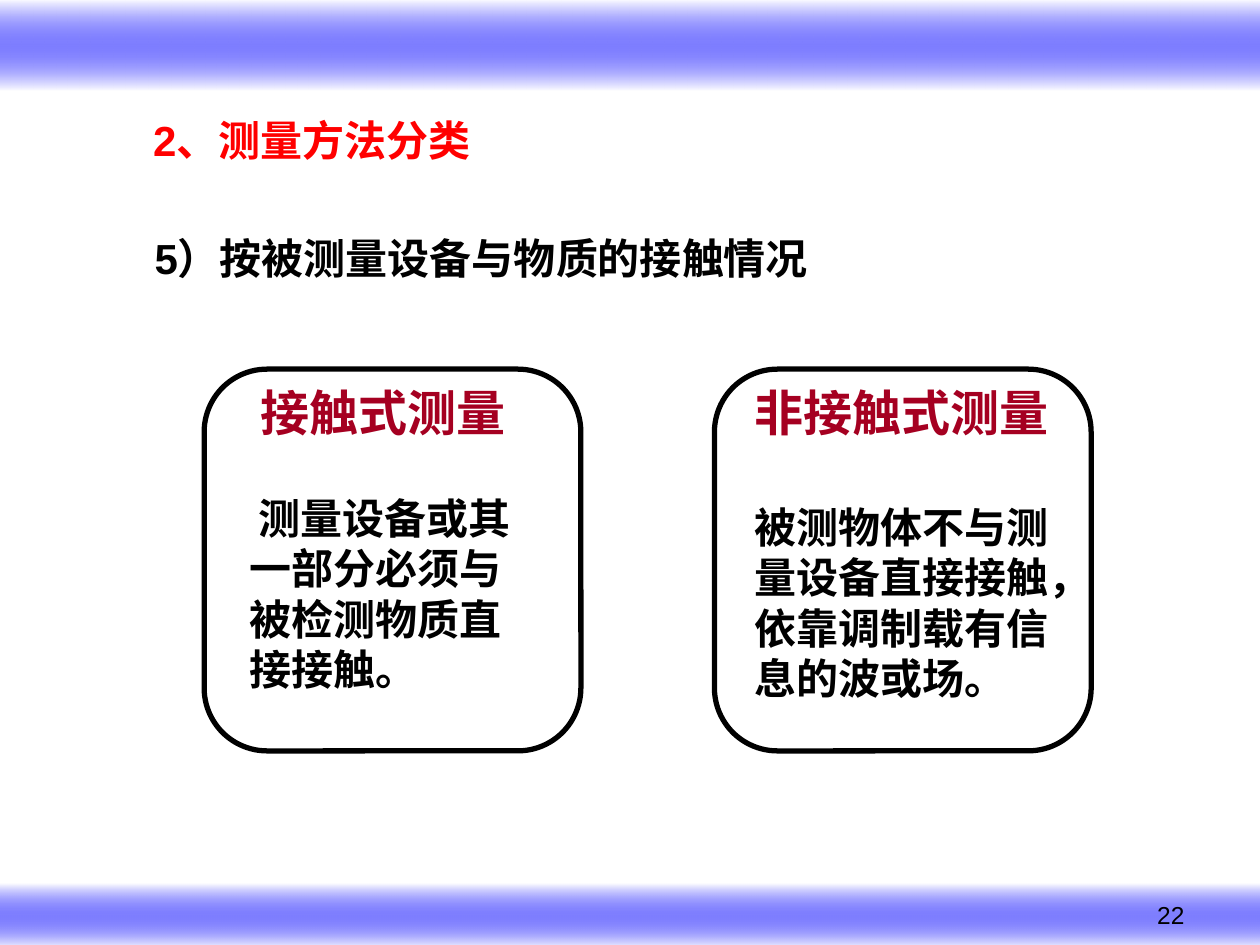
from dataclasses import dataclass

from lxml.etree import SubElement
from pptx import Presentation
from pptx.dml.color import RGBColor
from pptx.enum.shapes import MSO_SHAPE as Preset
from pptx.enum.text import MSO_ANCHOR as Anchor, MSO_AUTO_SIZE as AutoSize, PP_ALIGN as Align
from pptx.oxml.ns import qn
from pptx.util import Inches, Pt

COLUMNS, ROWS = 100, 75
WIDTH, HEIGHT = Inches(10), Inches(7.5)
BLACK, RED, CRIMSON, WHITE, BLUE = "000000", "FF0000", "A50021", "FFFFFF", "0000FF"


@dataclass
class Area:
    """A rectangle in grid columns and rows."""
    column: float
    row: float
    columns: float
    rows: float

    def lengths(self) -> tuple:
        across, down = WIDTH / COLUMNS, HEIGHT / ROWS
        return (round(self.column * across), round(self.row * down),
                round(self.columns * across), round(self.rows * down))


@dataclass
class Line:
    text: str
    size: float
    color: str = BLACK
    font: str = "Arial"
    bold: bool = True
    align: Align = Align.LEFT
    before: float = 0


@dataclass
class Card:
    frame: Area
    words: Area
    heading: str
    body: str
    gap: float


def rgb(color: str) -> RGBColor:
    return RGBColor.from_string(color)


def write(box, lines: list) -> None:
    frame = box.text_frame
    for name, value in {"word_wrap": True, "auto_size": AutoSize.NONE,
                        "vertical_anchor": Anchor.TOP}.items():
        setattr(frame, name, value)
    for index, line in enumerate(lines):
        para = frame.add_paragraph() if index else frame.paragraphs[0]
        for name, value in {"alignment": line.align, "space_before": Pt(line.before)}.items():
            setattr(para, name, value)
        span = para.add_run()
        span.text = line.text
        for name, value in {"size": Pt(line.size), "bold": line.bold, "name": line.font}.items():
            setattr(span.font, name, value)
        span.font.color.rgb = rgb(line.color)


def add_text(page, area: Area, lines: list) -> None:
    write(page.shapes.add_textbox(*area.lengths()), lines)


def add_band(page, area: Area) -> None:
    band = page.shapes.add_shape(Preset.RECTANGLE, *area.lengths())
    band.shadow.inherit = False
    band.line.fill.background()
    band.fill.gradient()
    band.fill.gradient_angle = 270  # counter-clockwise, so top to bottom
    stops = band._element.spPr.find(qn("a:gradFill")).find(qn("a:gsLst"))
    for stop in list(stops):
        stops.remove(stop)
    for position, color in ((0, WHITE), (50, BLUE), (100, WHITE)):
        stop = SubElement(stops, qn("a:gs"), pos=str(position * 1000))
        tint = SubElement(stop, qn("a:srgbClr"), val=color)
        if color == BLUE:
            SubElement(tint, qn("a:alpha"), val="50000")


def add_card(page, card: Card) -> None:
    outline = page.shapes.add_shape(Preset.ROUNDED_RECTANGLE, *card.frame.lengths())
    outline.shadow.inherit = False
    outline.adjustments[0] = 0.167
    outline.fill.background()
    outline.line.color.rgb = rgb(BLACK)
    outline.line.width = Pt(3)
    add_text(page, card.words, [
        Line(card.heading, 28, CRIMSON, "Times New Roman"),
        Line(card.body, 24, font="Times New Roman", before=card.gap)])


def main() -> None:
    deck = Presentation()
    deck.slide_width, deck.slide_height = WIDTH, HEIGHT
    page = deck.slides.add_slide(deck.slide_layouts[5])

    # Bands and page number
    for area in (Area(0, 70.1, COLUMNS, 5.2), Area(0, 0, COLUMNS, 7.2)):
        add_band(page, area)
    add_text(page, Area(71.7, 70.9, 23.3, 5.2),
             [Line("22", 14, bold=False, align=Align.RIGHT)])

    # Title and subheading
    title = page.shapes.title
    title.left, title.top, title.width, title.height = Area(11, 8.6, 27.5, 5.1).lengths()
    write(title, [Line("2、测量方法分类", 24, RED, align=Align.CENTER)])
    add_text(page, Area(11, 18, 54.4, 5),
             [Line("5）按被测量设备与物质的接触情况", 24, align=Align.CENTER)])

    # The two kinds of measurement
    cards = (
        Card(Area(16.2, 29.3, 29.9, 30.3), Area(18.8, 29.9, 24.7, 25.9),
             " 接触式测量", " 测量设备或其一部分必须与被检测物质直接接触。", 29),
        Card(Area(56.7, 29.3, 29.9, 30.3), Area(58.9, 29.9, 25.8, 26.6),
             "非接触式测量", "被测物体不与测量设备直接接触，依靠调制载有信息的波或场。", 34),
    )
    for card in cards:
        add_card(page, card)

    deck.save("out.pptx")


if __name__ == "__main__":
    main()
